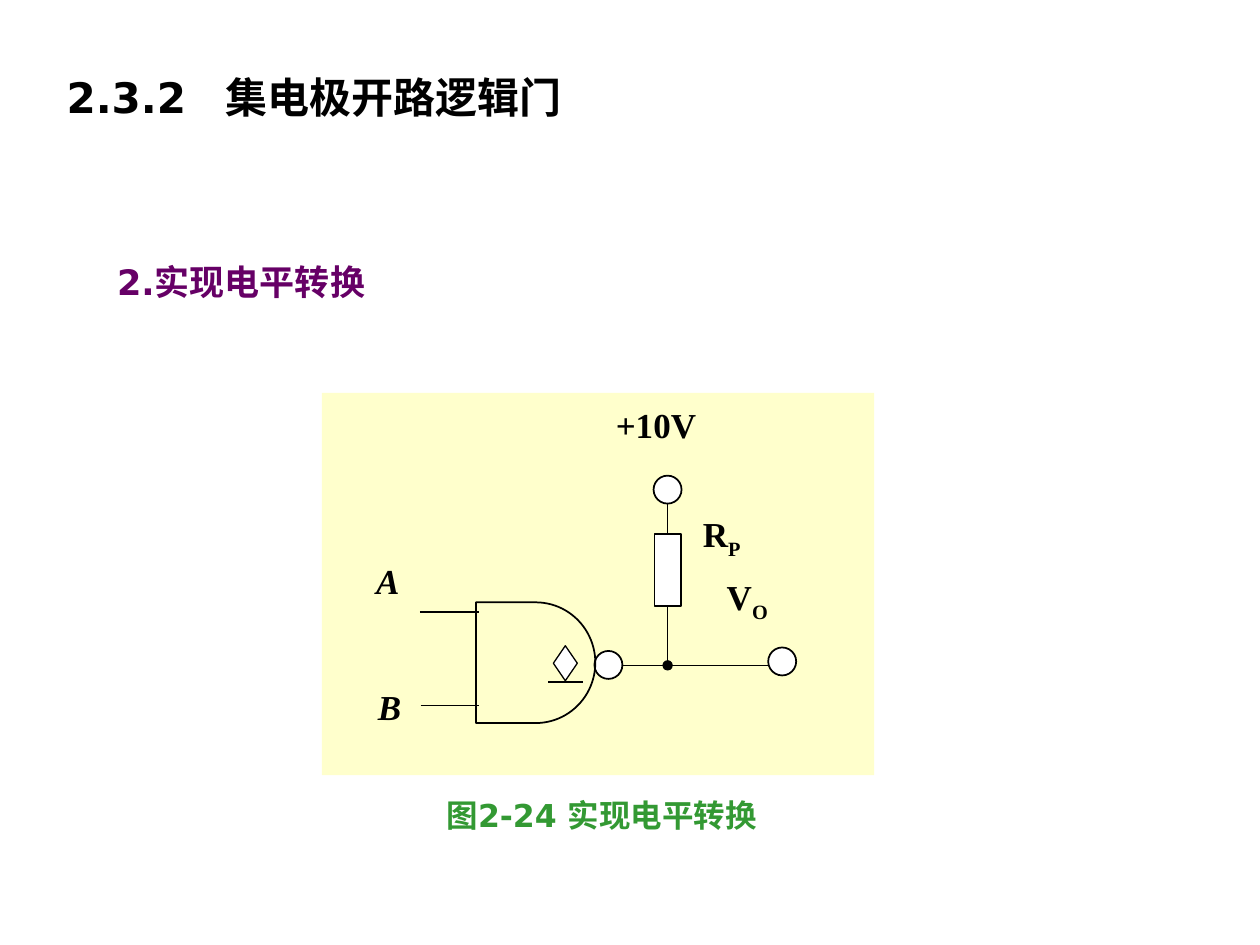
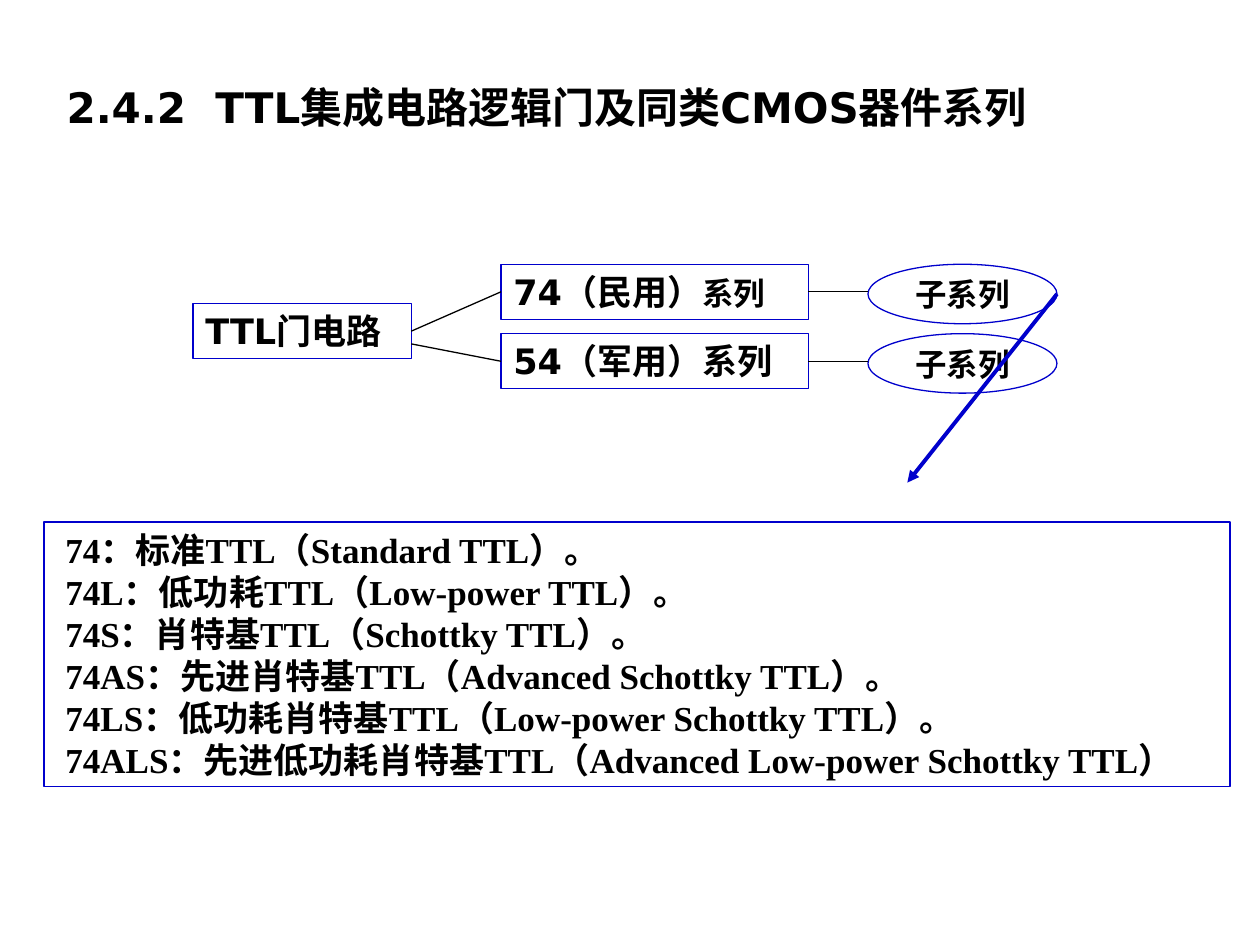
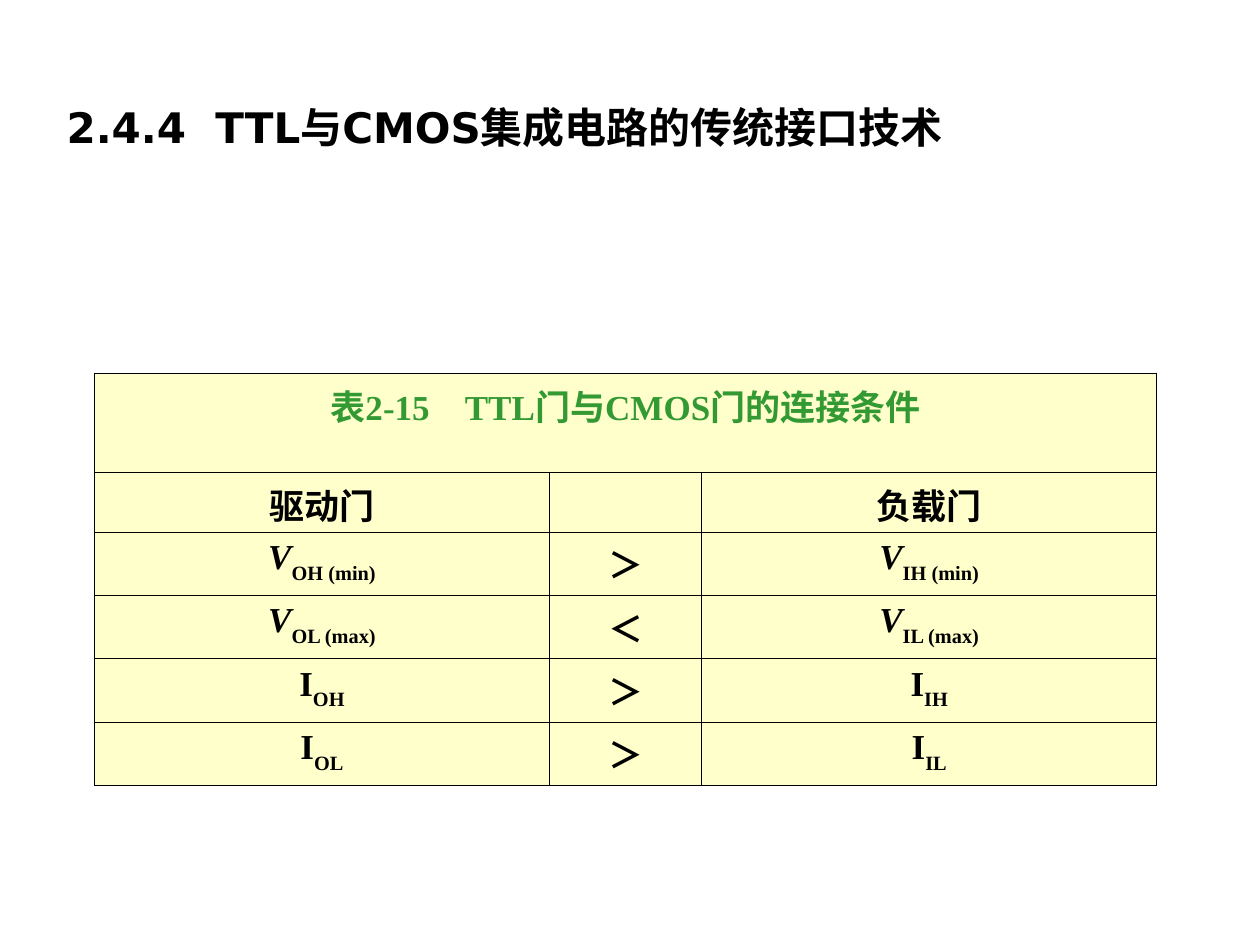
"""Build three slides on TTL open-collector gates, device families and CMOS interfacing."""
from lxml import etree
from pptx import Presentation
from pptx.dml.color import RGBColor
from pptx.enum import shapes, text
from pptx.oxml import ns
from pptx.util import Pt

BLACK = RGBColor(0x00, 0x00, 0x00)
WHITE = RGBColor(0xFF, 0xFF, 0xFF)
CREAM = RGBColor(0xFF, 0xFF, 0xCC)
PURPLE = RGBColor(0x66, 0x00, 0x66)
GREEN = RGBColor(0x33, 0x99, 0x33)
BLUE = RGBColor(0x00, 0x00, 0xCC)
SANS, SERIF, CJK = "DejaVu Sans", "Times New Roman", "Noto Sans CJK SC"
KIND = shapes.MSO_SHAPE
LEFT, CENTER = text.PP_ALIGN.LEFT, text.PP_ALIGN.CENTER


def write(paragraph, content, size, font, color=BLACK, align=LEFT, italic=False, drop=-25000):
    """Write bold text; the part after an underscore becomes a subscript."""
    paragraph.alignment = align
    for index, piece in enumerate(content.split("_")):
        run = paragraph.add_run()
        run.text = piece
        run.font.size, run.font.name, run.font.bold = Pt(size), font, True
        run.font.italic = italic and index == 0
        run.font.color.rgb = color
        properties = run.font._element
        etree.SubElement(properties, ns.qn("a:ea"), typeface=CJK)
        if index:
            properties.set("baseline", str(drop))


def wire(slide, x1, y1, x2, y2, color=BLACK, width=0.75, tail=None):
    """Draw a straight line with an optional end mark."""
    link = slide.shapes.add_connector(
        shapes.MSO_CONNECTOR.STRAIGHT, Pt(x1), Pt(y1), Pt(x2), Pt(y2))
    link.line.color.rgb = color
    link.line.width = Pt(width)
    if tail:
        etree.SubElement(link.line._get_or_add_ln(), ns.qn("a:tailEnd"), type=tail)
    etree.SubElement(link._element.spPr, ns.qn("a:effectLst"))
    return link


deck = Presentation()
deck.slide_width, deck.slide_height = Pt(720), Pt(540)

headings = []
for heading, top, stop in [
    ("2.3.2\t集电极开路逻辑门", 37.5, 91),
    ("2.4.2\tTTL集成电路逻辑门及同类CMOS器件系列", 43.2, 85),
    ("2.4.4\tTTL与CMOS集成电路的传统接口技术", 54.7, 85),
]:
    slide = deck.slides.add_slide(deck.slide_layouts[6])
    box = slide.shapes.add_textbox(Pt(31), Pt(top), Pt(618), Pt(36))
    box.text_frame.word_wrap = True
    line = box.text_frame.paragraphs[0]
    tabs = etree.SubElement(line._p.get_or_add_pPr(), ns.qn("a:tabLst"))
    etree.SubElement(tabs, ns.qn("a:tab"), pos=str(Pt(stop)), algn="l")
    write(line, heading, 24, SANS)
    headings.append(line)
converter, families, interface = deck.slides

for run in headings[0].runs:
    effects = etree.Element(ns.qn("a:effectLst"))
    shadow = etree.SubElement(effects, ns.qn("a:outerShdw"),
                              dist=str(Pt(2)), dir="2700000", algn="tl")
    etree.SubElement(shadow, ns.qn("a:srgbClr"), val="808080")
    run.font._element.find(ns.qn("a:solidFill")).addnext(effects)

circuit = {}
for part, kind, left, top, width, height, fill, weight in [
    ("panel", KIND.RECTANGLE, 184, 224.5, 315.5, 218.5, CREAM, 0),
    ("bubble", KIND.OVAL, 339.7, 372, 16, 16, WHITE, 1),
    ("gate", KIND.FLOWCHART_DELAY, 272, 344.2, 68.2, 69, None, 1),
    ("open collector", KIND.FLOWCHART_DECISION, 316.2, 369, 13.7, 20, WHITE, 0.75),
    ("supply", KIND.OVAL, 373.5, 271.8, 16, 16, WHITE, 1),
    ("output", KIND.OVAL, 439, 370, 16, 16, WHITE, 1),
    ("resistor", KIND.RECTANGLE, 374, 305, 15, 41.2, WHITE, 1),
]:
    symbol = converter.shapes.add_shape(kind, Pt(left), Pt(top), Pt(width), Pt(height))
    symbol.shadow.inherit = False
    if fill is None:
        symbol.fill.background()
    else:
        symbol.fill.solid()
        symbol.fill.fore_color.rgb = fill
    if weight:
        symbol.line.color.rgb = BLACK
        symbol.line.width = Pt(weight)
    else:
        symbol.line.fill.background()
    circuit[part] = symbol

for x1, x2, y in [(240, 273.5, 349.8), (240.3, 274, 403), (356, 439.5, 380.3), (313.2, 333.2, 389.8)]:
    wire(converter, x1, y, x2, y)
wire(converter, 381.5, 287.8, 381.5, 305).end_connect(circuit["resistor"], 0)
wire(converter, 381.5, 346.2, 381.5, 380.2, tail="oval").begin_connect(circuit["resistor"], 2)

for label, left, top, width, size, font, color, align, italic in [
    ("2.实现电平转换", 59.8, 145.4, 295, 20, SANS, PURPLE, LEFT, False),
    ("+10V", 344.8, 227, 95, 20, SERIF, BLACK, LEFT, False),
    ("R_P", 394.5, 289.4, 60, 20, SERIF, BLACK, LEFT, False),
    ("V_O", 408.2, 325.4, 80, 20, SERIF, BLACK, LEFT, False),
    ("A", 207.8, 316, 40, 20, SERIF, BLACK, LEFT, True),
    ("B", 208.8, 388, 40, 20, SERIF, BLACK, LEFT, True),
    ("图2-24 实现电平转换", 171, 451.4, 345.6, 18, SANS, GREEN, CENTER, False),
]:
    box = converter.shapes.add_textbox(Pt(left), Pt(top), Pt(width), Pt(31.5))
    box.text_frame.word_wrap = True
    write(box.text_frame.paragraphs[0], label, size, font, color, align, italic)

subfamilies = [
    "74：标准TTL（Standard TTL）。",
    "74L：低功耗TTL（Low-power TTL）。",
    "74S：肖特基TTL（Schottky TTL）。",
    "74AS：先进肖特基TTL（Advanced Schottky TTL）。",
    "74LS：低功耗肖特基TTL（Low-power Schottky TTL）。",
    "74ALS：先进低功耗肖特基TTL（Advanced Low-power Schottky TTL）",
]
nodes = []
for kind, left, top, width, height, lines, size, font in [
    (KIND.RECTANGLE, 110.3, 173.5, 124.7, 31.5, ["TTL门电路"], 20, SANS),
    (KIND.RECTANGLE, 286.3, 151, 175.7, 31.5, ["74（民用）系列"], 20, SANS),
    (KIND.RECTANGLE, 286.3, 190.7, 175.7, 31.5, ["54（军用）系列"], 20, SANS),
    (KIND.OVAL, 496, 151, 108, 34, ["子系列"], 18, SANS),
    (KIND.OVAL, 496, 190.7, 108, 34, ["子系列"], 18, SANS),
    (KIND.RECTANGLE, 25.2, 298.2, 677.7, 151.4, subfamilies, 20, SERIF),
]:
    node = families.shapes.add_shape(kind, Pt(left), Pt(top), Pt(width), Pt(height))
    node.shadow.inherit = False
    node.fill.background()
    node.line.color.rgb = BLUE
    node.line.width = Pt(0.75)
    frame = node.text_frame
    oval = kind == KIND.OVAL
    frame.word_wrap = not oval
    frame.vertical_anchor = text.MSO_ANCHOR.MIDDLE if oval else text.MSO_ANCHOR.TOP
    for index, content in enumerate(lines):
        paragraph = frame.add_paragraph() if index else frame.paragraphs[0]
        write(paragraph, content, size, font, align=CENTER if oval else LEFT)
    nodes.append(node)

root, civil, military, _, _, listing = nodes
listing.text_frame.margin_left, listing.text_frame.margin_right = Pt(12.2), Pt(0)
civil_runs = civil.text_frame.paragraphs[0]
civil_runs.runs[0].text = "74（民用）"
write(civil_runs, "系列", 18, SANS)

branch = wire(families, 235, 189.25, 286.3, 166.75)
branch.begin_connect(root, 3)
branch.end_connect(civil, 1)
wire(families, 235, 196.5, 286.3, 206.45).end_connect(military, 1)
for series, y in [(civil, 166.75), (military, 206.45)]:
    wire(families, 462, y, 496, y).begin_connect(series, 3)
wire(families, 604, 168, 518.5, 275.8, BLUE, 2.25, "triangle")

conditions = [
    ("表2-15　TTL门与CMOS门的连接条件", "", ""),
    ("驱动门", "", "负载门"),
    ("V_OH (min)", "＞", "V_IH (min)"),
    ("V_OL (max)", "＜", "V_IL (max)"),
    ("I_OH", "＞", "I_IH"),
    ("I_OL", "＞", "I_IL"),
]
table = interface.shapes.add_table(6, 3, Pt(54), Pt(213.2), Pt(607), Pt(235.6)).table
table.first_row = table.horz_banding = False
for column, width in zip(table.columns, (260, 87, 260)):
    column.width = Pt(width)
for row, height in zip(table.rows, (56.6, 34.2) + (36.2,) * 4):
    row.height = Pt(height)
for r, values in enumerate(conditions):
    for c, value in enumerate(values):
        cell = table.cell(r, c)
        cell.fill.solid()
        cell.fill.fore_color.rgb = CREAM
        if value:
            write(cell.text_frame.paragraphs[0], value, 20, SERIF, BLACK if r else GREEN,
                  CENTER, value.startswith("V"), -30000)
        borders = cell._tc.get_or_add_tcPr()
        for index, side in enumerate(("a:lnL", "a:lnR", "a:lnT", "a:lnB")):
            border = etree.Element(ns.qn(side), w=str(Pt(0.45)))
            ink = etree.SubElement(border, ns.qn("a:solidFill"))
            etree.SubElement(ink, ns.qn("a:srgbClr"), val=str(BLACK))
            borders.insert(index, border)
table.cell(0, 0).merge(table.cell(0, 2))

deck.save("out.pptx")
